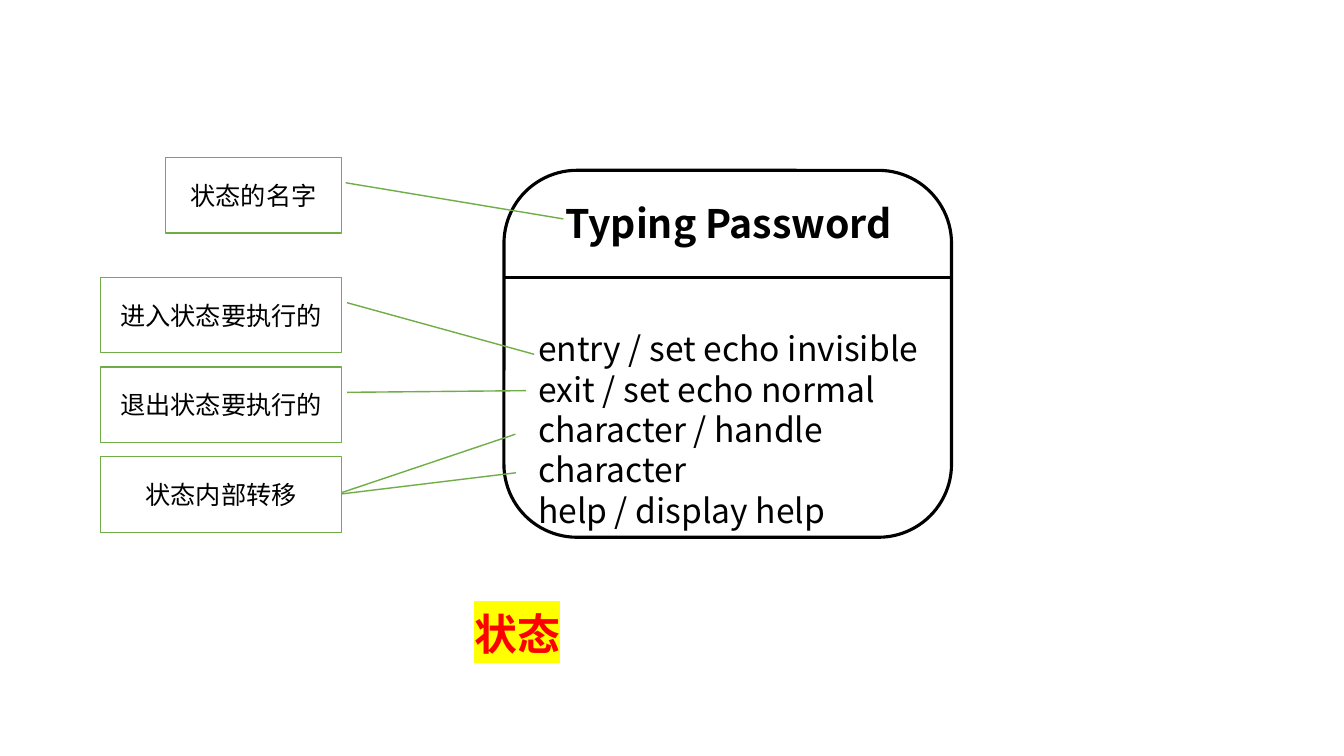
"""Build a slide that explains the parts of a state in a state diagram."""
from lxml import etree
from pptx import Presentation
from pptx.dml.color import RGBColor
from pptx.enum.shapes import MSO_CONNECTOR, MSO_SHAPE
from pptx.enum.text import MSO_ANCHOR, PP_ALIGN
from pptx.oxml.ns import qn
from pptx.util import Pt

STRAIGHT = MSO_CONNECTOR.STRAIGHT
ROUNDED = MSO_SHAPE.ROUNDED_RECTANGLE
CALLOUT = MSO_SHAPE.LINE_CALLOUT_1
TOP, MIDDLE, BOTTOM = MSO_ANCHOR.TOP, MSO_ANCHOR.MIDDLE, MSO_ANCHOR.BOTTOM
LEFT, CENTER = PP_ALIGN.LEFT, PP_ALIGN.CENTER

FONT = "Noto Sans CJK SC"
COLORS = {"paper": "FFFFFF", "ink": "000000", "green": "70AD47",
          "red": "FF0000", "yellow": "FFFF00"}

STATE_NAME = "Typing Password"
ACTIONS = ["entry / set echo invisible", "exit / set echo normal",
           "character / handle character", "help / display help"]
CAPTION = "状态"
LABELS = [  # text, left, top, pointer (start y, start x, end y, end x)
    ("状态的名字", 118, 112.3, (0.338, 1.023, 0.816, 2.257)),
    ("进入状态要执行的", 72, 198, (0.338, 1.023, 1.02, 1.8)),
    ("退出状态要执行的", 72, 262, (0.338, 1.023, 0.316, 1.765)),
    ("状态内部转移", 72, 326.2, (0.474, 1.002, -0.298, 1.722)),
]
LABEL_RIGHT, LABEL_HEIGHT = 244, 54
STATE = (360, 121.7, 319.7, 262.1)
DIVIDER_Y = 198


def color(name):
    return RGBColor.from_string(COLORS[name])


def write(box, lines, size, align, anchor, ink="ink", bold=False, leading=None):
    frame = box.text_frame
    frame.word_wrap = True
    frame.vertical_anchor = anchor
    for index, line in enumerate(lines):
        para = frame.paragraphs[0] if index == 0 else frame.add_paragraph()
        para.add_run().text = line
        para.alignment = align
        if leading:
            para.line_spacing = Pt(leading)
        font = para.font
        font.name, font.size, font.bold = FONT, Pt(size), bold
        font.color.rgb = color(ink)
        properties = para._p.pPr.find(qn("a:defRPr"))
        etree.SubElement(properties, qn("a:ea"), typeface=FONT)
    return frame


def add_text(slide, place, inset, *args, **style):
    box = slide.shapes.add_textbox(*map(Pt, place))
    frame = write(box, *args, **style)
    frame.margin_top, frame.margin_bottom = Pt(inset), Pt(0)
    return frame


def add_outline(slide, kind, place, adjustments, line, width):
    shape = slide.shapes.add_shape(kind, *map(Pt, place))
    for index, value in enumerate(adjustments):
        shape.adjustments[index] = value
    shape.shadow.inherit = False
    shape.fill.solid()
    shape.fill.fore_color.rgb = color("paper")
    shape.line.color.rgb = color(line)
    shape.line.width = Pt(width)
    return shape


def add_line(slide, ends, line, width):
    connector = slide.shapes.add_connector(STRAIGHT, *map(Pt, ends))
    connector.line.color.rgb = color(line)
    connector.line.width = Pt(width)
    etree.SubElement(connector._element.spPr, qn("a:effectLst"))


def main():
    deck = Presentation()
    deck.slide_width, deck.slide_height = Pt(960), Pt(540)
    slide = deck.slides.add_slide(deck.slide_layouts[6])

    add_outline(slide, ROUNDED, STATE, [0.199], "ink", 2.25)
    add_line(slide, (STATE[0], DIVIDER_Y, STATE[0] + STATE[2], DIVIDER_Y), "ink", 2.25)
    add_text(slide, (385.9, 136.8, 268.6, 41), 5.5, [STATE_NAME],
             28, CENTER, TOP, bold=True, leading=33.6)
    add_text(slide, (377.3, 229, 302.4, 152.6), 5.5, ACTIONS,
             24, LEFT, TOP, leading=28.8)

    for text, left, top, pointer in LABELS:
        place = (left, top, LABEL_RIGHT - left, LABEL_HEIGHT)
        label = add_outline(slide, CALLOUT, place, pointer, "green", 1)
        write(label, [text], 18, CENTER, MIDDLE)
    add_line(slide, (LABEL_RIGHT, 352.8, 368.6, 337.7), "green", 1)

    frame = add_text(slide, (259.2, 432, 220.3, 38.9), 0, [CAPTION],
                     30.6, CENTER, BOTTOM, ink="red", bold=True)
    span = frame.paragraphs[0].runs[0]
    highlight = etree.SubElement(span._r.get_or_add_rPr(), qn("a:highlight"))
    etree.SubElement(highlight, qn("a:srgbClr"), val=COLORS["yellow"])

    deck.save("out.pptx")


if __name__ == "__main__":
    main()
